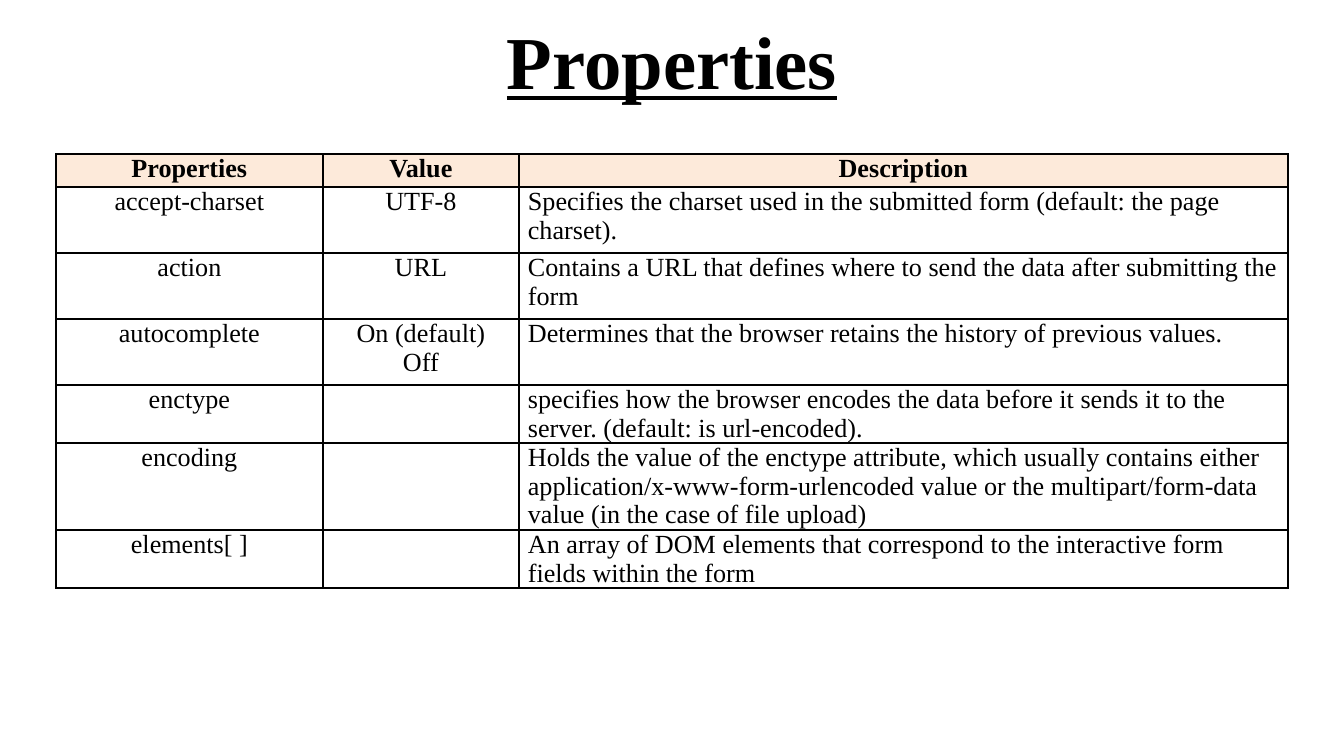
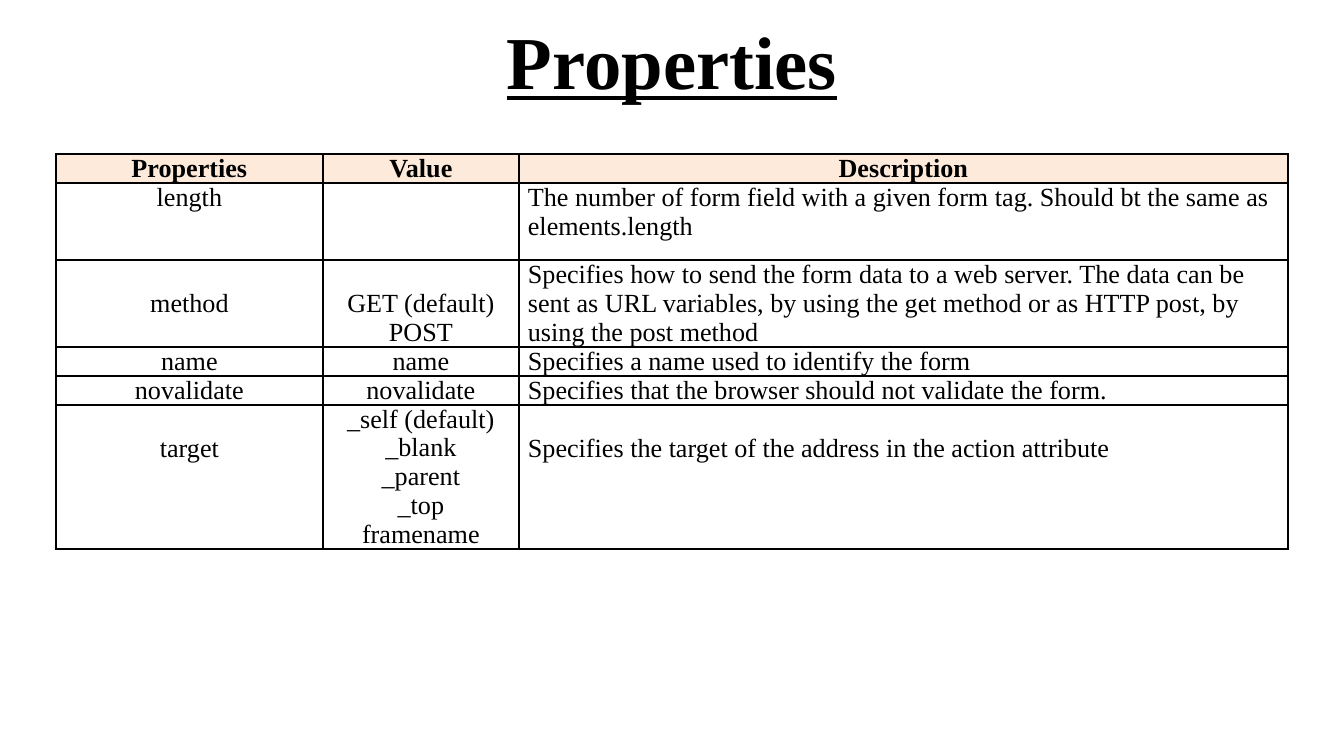
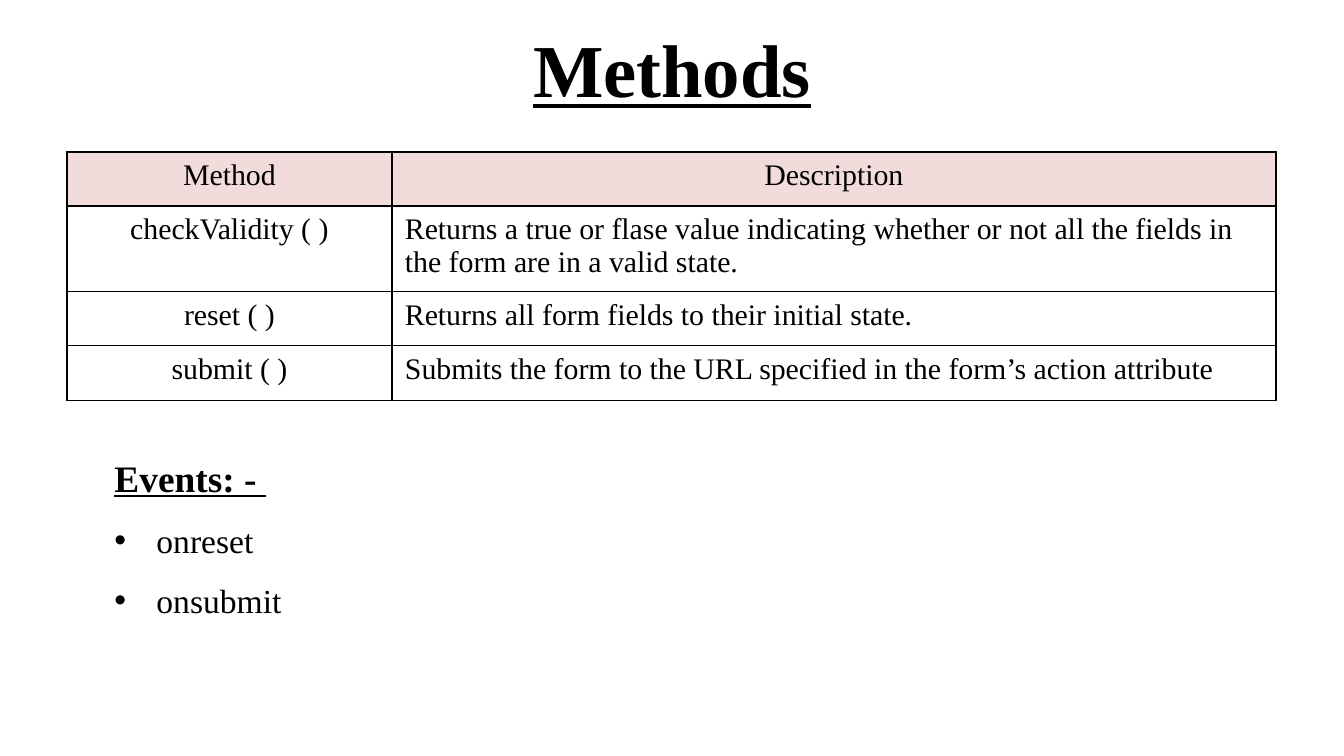
import pptx
import pptx.dml.color
import pptx.enum.text
import pptx.oxml
import pptx.oxml.ns
import pptx.util

FONT = "Times New Roman"
BLACK = "000000"
PEACH = "FDEADA"
ROSE = "F2DCDB"
LINE = 29
CENTER = pptx.enum.text.PP_ALIGN.CENTER
LEFT = pptx.enum.text.PP_ALIGN.LEFT

PROPERTY_HEAD = ("Properties", "Value", "Description")
PROPERTY_STYLE = dict(left=56, top=154, cols=(267, 196, 769), size=14,
                      head_fill=PEACH, head_bold=True, margins=(9, 0))
METHOD_STYLE = dict(left=67, top=152, cols=(325, 884), size=16,
                    head_fill=ROSE, head_bold=False, margins=(13, 7))

SLIDES = [
    {
        "title": "Properties", "title_top": -3, "style": PROPERTY_STYLE,
        "heights": (33, 66, 66, 66, 58, 87, 58),
        "rows": [
            PROPERTY_HEAD,
            ("accept-charset", "UTF-8",
             "Specifies the charset used in the submitted form (default: the page charset)."),
            ("action", "URL",
             "Contains a URL that defines where to send the data after submitting the form"),
            ("autocomplete", "On (default)\nOff",
             "Determines that the browser retains the history of previous values."),
            ("enctype", "",
             "specifies how the browser encodes the data before it sends it to the server. "
             "(default: is url-encoded)."),
            ("encoding", "",
             "Holds the value of the enctype attribute, which usually contains either "
             "application/x-www-form-urlencoded value or the multipart/form-data value "
             "(in the case of file upload)"),
            ("elements[ ]", "",
             "An array of DOM elements that correspond to the interactive form fields "
             "within the form"),
        ],
    },
    {
        "title": "Properties", "title_top": -3, "style": PROPERTY_STYLE,
        "heights": (29, 77, 86, 29, 29, 144),
        "lowered": {(2, 0), (2, 1), (5, 0), (5, 2)},
        "rows": [
            PROPERTY_HEAD,
            ("length", "",
             "The number of form field with a given form tag. Should bt the same as "
             "elements.length"),
            ("method", "GET (default)\nPOST",
             "Specifies how to send the form data to a web server. The data can be sent as "
             "URL variables, by using the get method or as HTTP post, by using the post method"),
            ("name", "name", "Specifies a name used to identify the form"),
            ("novalidate", "novalidate",
             "Specifies that the browser should not validate the form."),
            ("target", "_self (default)\n_blank\n_parent\n_top\nframename",
             "Specifies the target of the address in the action attribute"),
        ],
    },
    {
        "title": "Methods", "title_top": 5, "style": METHOD_STYLE,
        "heights": (54, 80, 54, 55),
        "rows": [
            ("Method", "Description"),
            ("checkValidity ( )",
             "Returns a true or flase value indicating whether or not all the fields in the "
             "form are in a valid state."),
            ("reset ( )", "Returns all form fields to their initial state."),
            ("submit ( )",
             "Submits the form to the URL specified in the form’s action attribute"),
        ],
        "events": ("Events: - ", ["onreset", "onsubmit"]),
    },
]


def px(n):
    return pptx.util.Emu(round(n * 914400 / 134.4))


def color(value):
    return pptx.dml.color.RGBColor.from_string(value)


def place(sp, left, top, width, height):
    sp.left, sp.top, sp.width, sp.height = map(px, (left, top, width, height))


def add_run(p, text, size, bold=False, underline=False):
    r = p.add_run()
    r.text = text
    r.font.name = FONT
    r.font.size = pptx.util.Pt(size)
    r.font.bold = bold
    r.font.underline = underline
    r.font.color.rgb = color(BLACK)


def add_title(slide, text, top):
    sp = slide.shapes.title
    place(sp, 67, top, 1210, 126)
    tf = sp.text_frame
    tf.vertical_anchor = pptx.enum.text.MSO_ANCHOR.MIDDLE
    p = tf.paragraphs[0]
    p.alignment = CENTER
    add_run(p, text, 40, True, True)


def add_borders(cell):
    tc_pr = cell._tc.get_or_add_tcPr()
    for side in ("lnL", "lnR", "lnT", "lnB"):
        tc_pr.append(pptx.oxml.parse_xml(
            f'<a:{side} {pptx.oxml.ns.nsdecls("a")} w="12700"><a:solidFill>'
            f'<a:srgbClr val="{BLACK}"/></a:solidFill></a:{side}>'))


def fill_cell(cell, text, style, is_head, is_last, lowered):
    side, edge = style["margins"]
    cell.margin_left = cell.margin_right = px(side)
    cell.margin_top = px(edge + (LINE if lowered else 0))
    cell.margin_bottom = px(edge)
    add_borders(cell)
    if is_head:
        cell.fill.solid()
        cell.fill.fore_color.rgb = color(style["head_fill"])
    else:
        cell.fill.background()
    tf = cell.text_frame
    for i, line in enumerate(text.split("\n") if text else []):
        p = tf.add_paragraph() if i else tf.paragraphs[0]
        p.alignment = LEFT if is_last and not is_head else CENTER
        add_run(p, line, style["size"], is_head and style["head_bold"])


def add_grid(slide, rows, heights, style, lowered):
    cols = style["cols"]
    frame = slide.shapes.add_table(
        len(rows), len(cols), px(style["left"]), px(style["top"]),
        px(sum(cols)), px(sum(heights)))
    table = frame.table
    table.first_row = table.horz_banding = False
    for column, width in zip(table.columns, cols):
        column.width = px(width)
    for i, (row, height) in enumerate(zip(rows, heights)):
        table.rows[i].height = px(height)
        for j, text in enumerate(row):
            fill_cell(table.cell(i, j), text, style, i == 0,
                      j == len(cols) - 1, (i, j) in lowered)


def add_events(slide, heading, items):
    sp = slide.placeholders[1]
    place(sp, 101, 448, 527, 181)
    tf = sp.text_frame
    tf.word_wrap = True
    tf.auto_size = pptx.enum.text.MSO_AUTO_SIZE.SHAPE_TO_FIT_TEXT
    for i, text in enumerate([heading, *items]):
        p = tf.add_paragraph() if i else tf.paragraphs[0]
        p.space_before = pptx.util.Pt(0)
        p.line_spacing = 1.5 if i else 1.0
        indent = px(42) if i else 0
        p_pr = p._p.get_or_add_pPr()
        p_pr.set("marL", str(indent))
        p_pr.set("indent", str(-indent))
        bullet = '<a:buChar {} char="•"/>' if i else "<a:buNone {}/>"
        p_pr.append(pptx.oxml.parse_xml(bullet.format(pptx.oxml.ns.nsdecls("a"))))
        add_run(p, text, 18 if i else 20, i == 0, i == 0)


def main():
    prs = pptx.Presentation()
    prs.slide_width, prs.slide_height = px(1344), px(756)
    for content in SLIDES:
        events = content.get("events")
        slide = prs.slides.add_slide(prs.slide_layouts[1 if events else 5])
        add_title(slide, content["title"], content["title_top"])
        add_grid(slide, content["rows"], content["heights"],
                 content["style"], content.get("lowered", ()))
        if events:
            add_events(slide, *events)
    prs.save("out.pptx")


if __name__ == "__main__":
    main()
